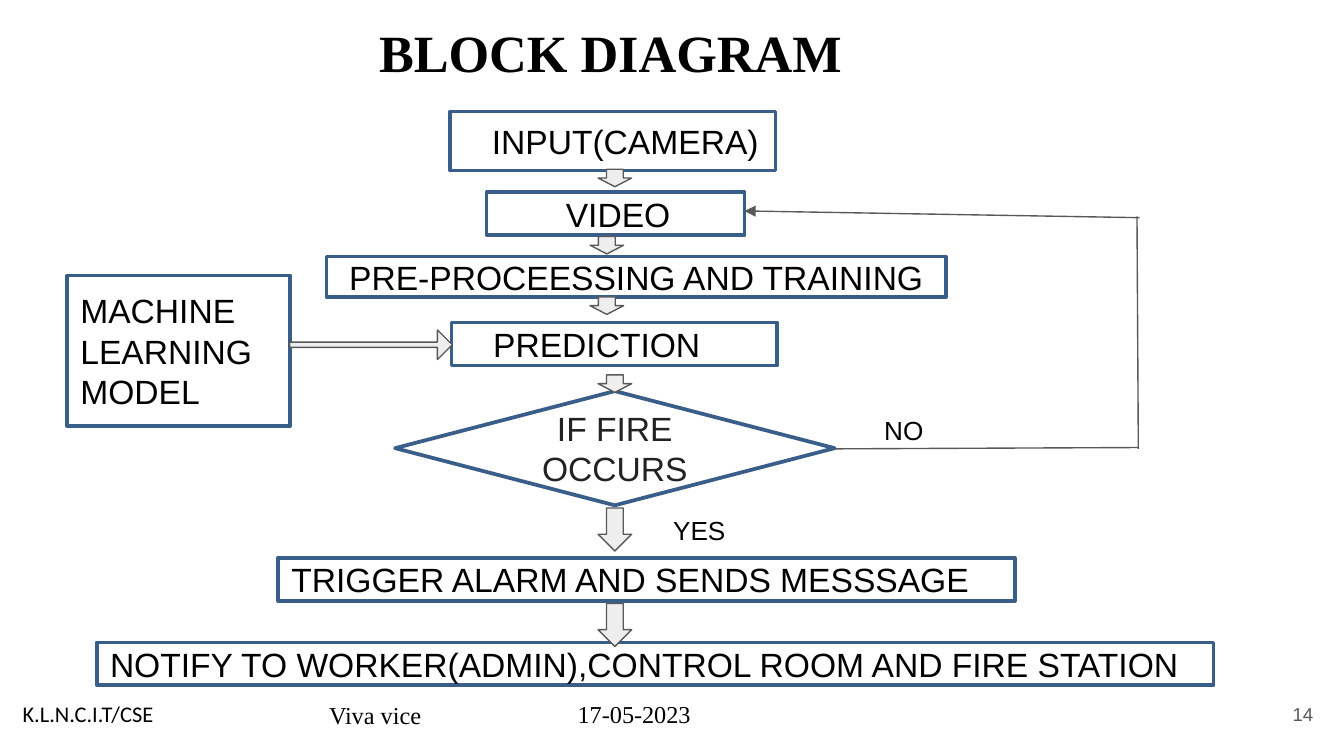
from dataclasses import dataclass
from pptx import Presentation
from pptx.dml.color import RGBColor as Rgb
from pptx.enum.shapes import MSO_CONNECTOR as Conn, MSO_SHAPE as Kind
from pptx.enum.text import MSO_ANCHOR as Anchor, MSO_AUTO_SIZE as Auto, PP_ALIGN as Align
from pptx.oxml.ns import qn
from pptx.util import Pt
from lxml.etree import SubElement as Sub

SCALE = 9144  # EMU in one px, 100 px to the inch
WIDE = 1000 * SCALE


@dataclass(frozen=True)
class Theme:
    black: str = "000000"
    white: str = "FFFFFF"
    dark: str = "222222"
    grey: str = "595959"
    pale: str = "EEEEEE"
    blue: str = "395E89"
    sans: str = "Arial"
    serif: str = "Times New Roman"
    foot: str = "Calibri"
    title: int = 28
    body: int = 18
    label: int = 14
    date: int = 13
    note: int = 12
    page: int = 10
    thick: float = 2
    thin: float = 0.75


T = Theme()


def px(*nums):
    return [n * SCALE for n in nums]


def apply(obj, **vals):
    for key, val in vals.items():
        setattr(obj, key, val)


def write(shape, text, size, font=T.sans, color=T.black, bold=False,
          align=Align.LEFT, left=10, pad=10, **frame):
    box = shape.text_frame
    side, right, edge = px(left, 10, pad)
    apply(box, margin_left=side, margin_right=right, margin_top=edge,
          margin_bottom=edge, word_wrap=True, **frame)
    para = box.paragraphs[0]
    para.alignment = align
    run = para.add_run()
    run.text = text
    apply(run.font, name=font, size=Pt(size), bold=bold)
    run.font.color.rgb = Rgb.from_string(color)


def add_text(slide, at, text, size, **form):
    write(slide.shapes.add_textbox(*px(*at)), text, size, **form)


def add_form(slide, kind, at, fill, line, width):
    shape = slide.shapes.add_shape(kind, *px(*at))
    shape.shadow.inherit = False
    shape.fill.solid()
    shape.fill.fore_color.rgb = Rgb.from_string(fill)
    shape.line.color.rgb = Rgb.from_string(line)
    shape.line.width = Pt(width)
    return shape


def add_block(slide, at, text, kind=Kind.RECTANGLE, **form):
    shape = add_form(slide, kind, at, T.white, T.blue, T.thick)
    write(shape, text, T.body, pad=5, vertical_anchor=Anchor.MIDDLE, **form)


def add_arrow(slide, at, turn=0, shaft=0.5):
    shape = add_form(slide, Kind.DOWN_ARROW, at, T.pale, T.grey, T.thin)
    shape.rotation = turn
    shape.adjustments[0] = shaft


def add_line(slide, ends, head=False):
    line = slide.shapes.add_connector(Conn.STRAIGHT, *px(*ends))
    line.line.color.rgb = Rgb.from_string(T.grey)
    line.line.width = Pt(T.thin)
    props = line._element.spPr
    if head:
        Sub(props.find(qn("a:ln")), qn("a:tailEnd"), type="triangle")
    Sub(props, qn("a:effectLst"))


def main():
    deck = Presentation()
    apply(deck, slide_width=WIDE, slide_height=WIDE * 9 // 16)
    slide = deck.slides.add_slide(deck.slide_layouts[6])

    # Title
    add_text(slide, (0, 5, 932, 63), "BLOCK DIAGRAM", T.title,
             font=T.serif, bold=True, left=282)

    # Flow blocks
    mid = {"align": Align.CENTER}
    for at, text, form in (
        ((335, 83, 242, 44), "INPUT(CAMERA)", {"left": 31}),
        ((362, 143, 192, 32), "VIDEO", {"left": 59}),
        ((243, 191, 461, 30), "PRE-PROCEESSING AND TRAINING", mid),
        ((336, 240, 242, 32), "PREDICTION", {"left": 31}),
        ((294, 291, 327, 85), "IF FIRE OCCURS",
         {"kind": Kind.FLOWCHART_DECISION, "color": T.dark, **mid}),
        ((207, 415, 548, 32), "TRIGGER ALARM AND SENDS MESSSAGE", {}),
        ((72, 478, 831, 32),
         "NOTIFY TO WORKER(ADMIN),CONTROL ROOM AND FIRE STATION", {}),
        ((50, 205, 166, 112), "MACHINE LEARNING MODEL", {}),
    ):
        add_block(slide, at, text, **form)

    # Arrows between blocks, then the one from the model
    for left, top, high in ((445, 126, 13), (439, 176, 13), (439, 221, 13),
                            (445, 279, 13), (445, 378, 32), (445, 449, 32)):
        add_arrow(slide, (left, top, 25, high))
    add_arrow(slide, (265, 196, 22, 121), turn=270, shaft=0.18)

    # Loop back to the video
    add_line(slide, (621, 334, 847, 333))
    add_line(slide, (847, 334, 846, 161))
    add_line(slide, (848, 162, 554, 157), head=True)

    # Branch labels and footer
    grow = {"auto_size": Auto.SHAPE_TO_FIT_TEXT}
    serif = {"font": T.serif, **grow}
    for at, text, size, form in (
        ((491, 373, 99, 44), "YES", T.label, grow),
        ((648, 298, 81, 44), "NO", T.label, grow),
        ((7, 511, 328, 40), "K.L.N.C.I.T/CSE", T.note, {"font": T.foot, **grow}),
        ((235, 511, 120, 42), "Viva vice", T.date, serif),
        ((420, 510, 153, 42), "17-05-2023", T.date, serif),
        ((927, 510, 60, 43), "14", T.page,
         {"color": T.grey, "align": Align.RIGHT, "vertical_anchor": Anchor.MIDDLE}),
    ):
        add_text(slide, at, text, size, **form)

    deck.save("out.pptx")


if __name__ == "__main__":
    main()
